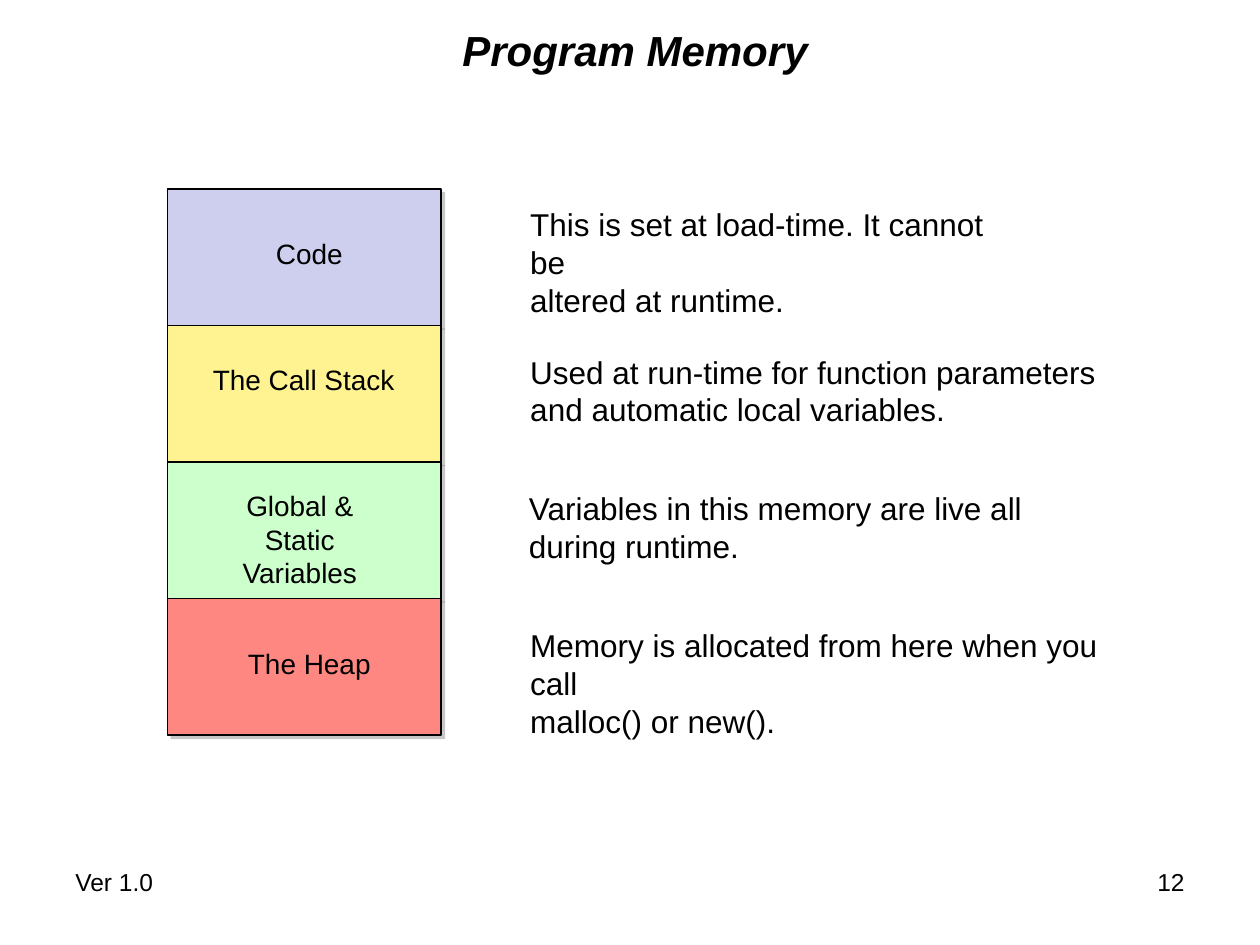
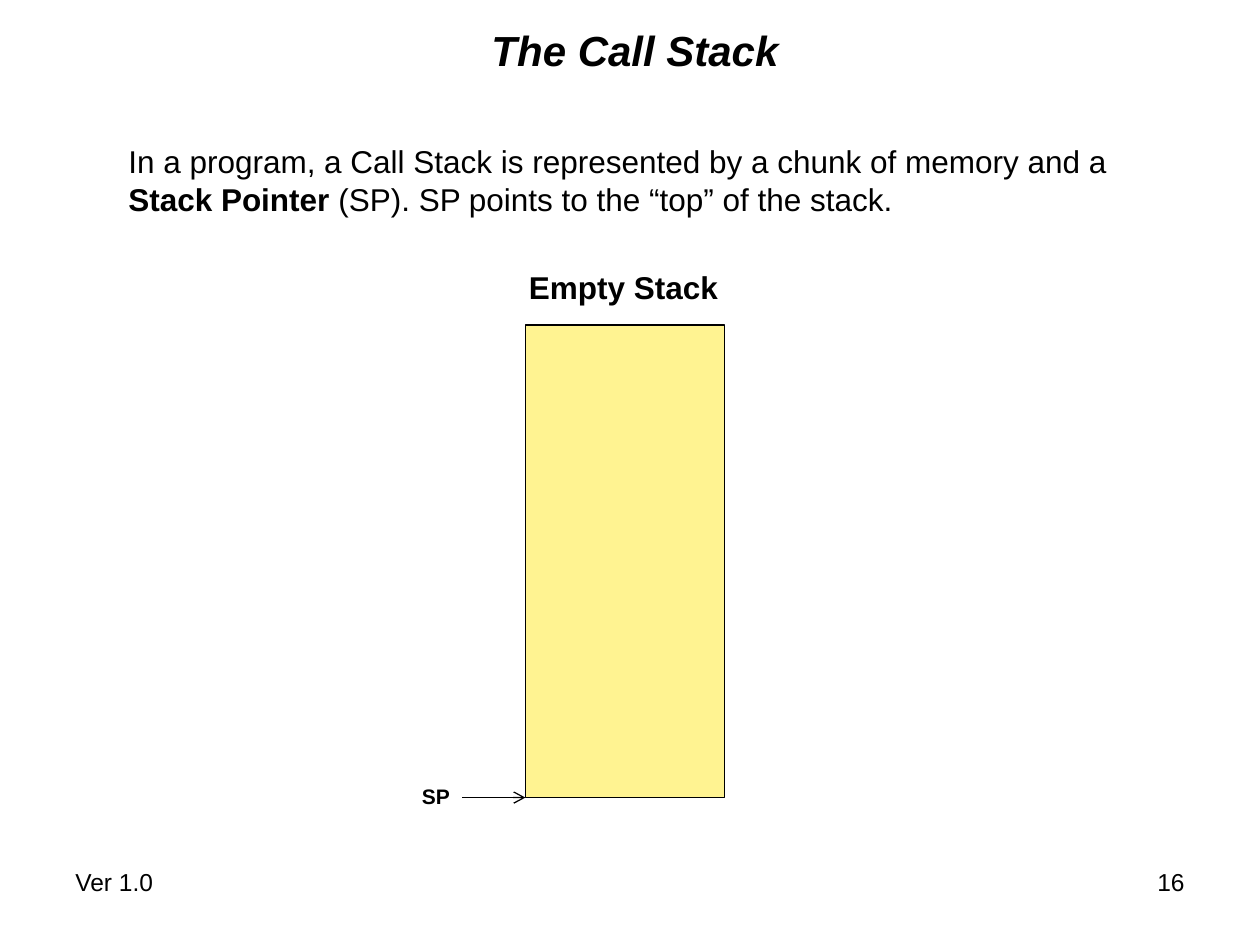
from dataclasses import dataclass

from lxml.etree import SubElement
from pptx import Presentation
from pptx.dml.color import RGBColor
from pptx.enum.shapes import MSO_CONNECTOR, MSO_SHAPE
from pptx.enum.text import MSO_ANCHOR, PP_ALIGN
from pptx.oxml.ns import qn
from pptx.shapes.autoshape import Shape
from pptx.slide import Slide
from pptx.text.text import TextFrame
from pptx.util import Inches, Pt

FONT = "Arial"
BLACK = RGBColor(0x00, 0x00, 0x00)
LAVENDER = RGBColor(0xCE, 0xCE, 0xEF)
YELLOW = RGBColor(0xFF, 0xF3, 0x91)
GREEN = RGBColor(0xCC, 0xFF, 0xCC)
RED = RGBColor(0xFF, 0x87, 0x81)
SHADOW_HEX = "808080"

BODY_SIZE = 18
LINE_WIDTH = Pt(0.75)
BLANK_LAYOUT = 6


@dataclass(frozen=True)
class Box:
    """A place on the slide, in inches."""
    left: float
    top: float
    width: float
    height: float


@dataclass(frozen=True)
class Segment:
    """A part of program memory, with its label and description."""
    label: str
    label_box: Box
    color: RGBColor
    description: str
    description_box: Box


TITLE_BOX = Box(1, 0.17, 8.08, 0.45)
VERSION_BOX = Box(0.5, 6.83, 2.33, 0.52)
NUMBER_BOX = Box(7.17, 6.83, 2.33, 0.52)

SEGMENT_LEFT, SEGMENT_TOP = 1.33, 1.5
SEGMENT_WIDTH, SEGMENT_HEIGHT = 2.17, 6.5 / 6
SEGMENTS = (
    Segment("Code", Box(2.09, 1.83, 0.73, 0.37), LAVENDER,
            "This is set at load-time. It cannot be\naltered at runtime.",
            Box(4.11, 1.58, 4.14, 0.7)),
    Segment("The Call Stack", Box(1.59, 2.83, 1.64, 0.37), YELLOW,
            "Used at run-time for function parameters\nand automatic local variables.",
            Box(4.11, 2.75, 4.69, 0.7)),
    Segment("Global & Static\nVariables", Box(1.55, 3.83, 1.66, 0.64), GREEN,
            "Variables in this memory are live all\nduring runtime.",
            Box(4.1, 3.83, 4.13, 0.7)),
    Segment("The Heap", Box(1.87, 5.08, 1.17, 0.37), RED,
            "Memory is allocated from here when you call\nmalloc() or new().",
            Box(4.11, 4.92, 5.14, 0.7)),
)

STACK_BOX = Box(4.17, 2.58, 1.58, 3.75)


def add_text(slide: Slide, box: Box, text: str, size: int,
             align: PP_ALIGN = PP_ALIGN.LEFT, bold: bool = False,
             italic: bool = False, wrap: bool = False) -> TextFrame:
    """Add a text box with one paragraph for each line of the text."""
    frame = slide.shapes.add_textbox(
        Inches(box.left), Inches(box.top), Inches(box.width), Inches(box.height)
    ).text_frame
    frame.word_wrap = wrap
    frame.text = text
    for paragraph in frame.paragraphs:
        paragraph.alignment = align
        font = paragraph.font
        font.name, font.size = FONT, Pt(size)
        font.bold, font.italic = bold, italic
        font.color.rgb = BLACK
    return frame


def add_rectangle(slide: Slide, box: Box, color: RGBColor) -> Shape:
    shape = slide.shapes.add_shape(
        MSO_SHAPE.RECTANGLE,
        Inches(box.left), Inches(box.top), Inches(box.width), Inches(box.height))
    shape.fill.solid()
    shape.fill.fore_color.rgb = color
    shape.line.color.rgb = BLACK
    shape.line.width = LINE_WIDTH
    shape.shadow.inherit = False
    return shape


def add_shadow(shape: Shape) -> None:
    effects = shape._element.spPr.find(qn("a:effectLst"))
    shadow = SubElement(effects, qn("a:outerShdw"), blurRad="0",
                        dist=str(Pt(3)), dir="2700000", algn="ctr", rotWithShape="0")
    color = SubElement(shadow, qn("a:srgbClr"), val=SHADOW_HEX)
    SubElement(color, qn("a:alpha"), val="43000")


def add_arrow(slide: Slide, start: tuple[float, float], end: tuple[float, float]) -> None:
    arrow = slide.shapes.add_connector(
        MSO_CONNECTOR.STRAIGHT, *(Inches(value) for value in start + end))
    arrow.line.color.rgb = BLACK
    arrow.line.width = LINE_WIDTH
    SubElement(arrow.line._get_or_add_ln(), qn("a:tailEnd"), type="arrow")
    SubElement(arrow._element.spPr, qn("a:effectLst"))


def add_base_slide(presentation: Presentation, title: str, number: int) -> Slide:
    """Add a slide with its title, version and page number."""
    slide = presentation.slides.add_slide(presentation.slide_layouts[BLANK_LAYOUT])
    title_frame = add_text(slide, TITLE_BOX, title, 24, PP_ALIGN.CENTER,
                           bold=True, italic=True, wrap=True)
    title_frame.vertical_anchor = MSO_ANCHOR.MIDDLE
    add_text(slide, VERSION_BOX, "Ver 1.0", 14, wrap=True)
    add_text(slide, NUMBER_BOX, str(number), 14, PP_ALIGN.RIGHT, wrap=True)
    return slide


def build_program_memory(presentation: Presentation) -> None:
    slide = add_base_slide(presentation, "Program Memory", 12)
    for index, segment in enumerate(SEGMENTS):
        box = Box(SEGMENT_LEFT, SEGMENT_TOP + index * SEGMENT_HEIGHT,
                  SEGMENT_WIDTH, SEGMENT_HEIGHT)
        add_shadow(add_rectangle(slide, box, segment.color))
        add_text(slide, segment.label_box, segment.label, 16, PP_ALIGN.CENTER)
        add_text(slide, segment.description_box, segment.description, BODY_SIZE)


def build_call_stack(presentation: Presentation) -> None:
    slide = add_base_slide(presentation, "The Call Stack", 16)
    add_rectangle(slide, STACK_BOX, YELLOW)
    introduction = add_text(
        slide, Box(0.92, 1.08, 8.03, 0.7),
        "In a program, a Call Stack is represented by a chunk of memory and a\n"
        "Stack Pointer ", BODY_SIZE)
    pointer_line = introduction.paragraphs[1]
    pointer_line.runs[0].font.bold = True
    pointer_line.add_run().text = "(SP). SP points to the “top” of the stack."

    add_text(slide, Box(4.1, 2.08, 1.7, 0.4), "Empty Stack", BODY_SIZE, bold=True)
    add_text(slide, Box(3.25, 6.17, 0.42, 0.3), "SP", 12, bold=True)
    stack_bottom = STACK_BOX.top + STACK_BOX.height
    add_arrow(slide, (STACK_BOX.left - 0.5, stack_bottom), (STACK_BOX.left, stack_bottom))


def main() -> None:
    presentation = Presentation()
    presentation.slide_width = Inches(10)
    presentation.slide_height = Inches(7.5)
    build_program_memory(presentation)
    build_call_stack(presentation)
    presentation.save("out.pptx")


if __name__ == "__main__":
    main()
